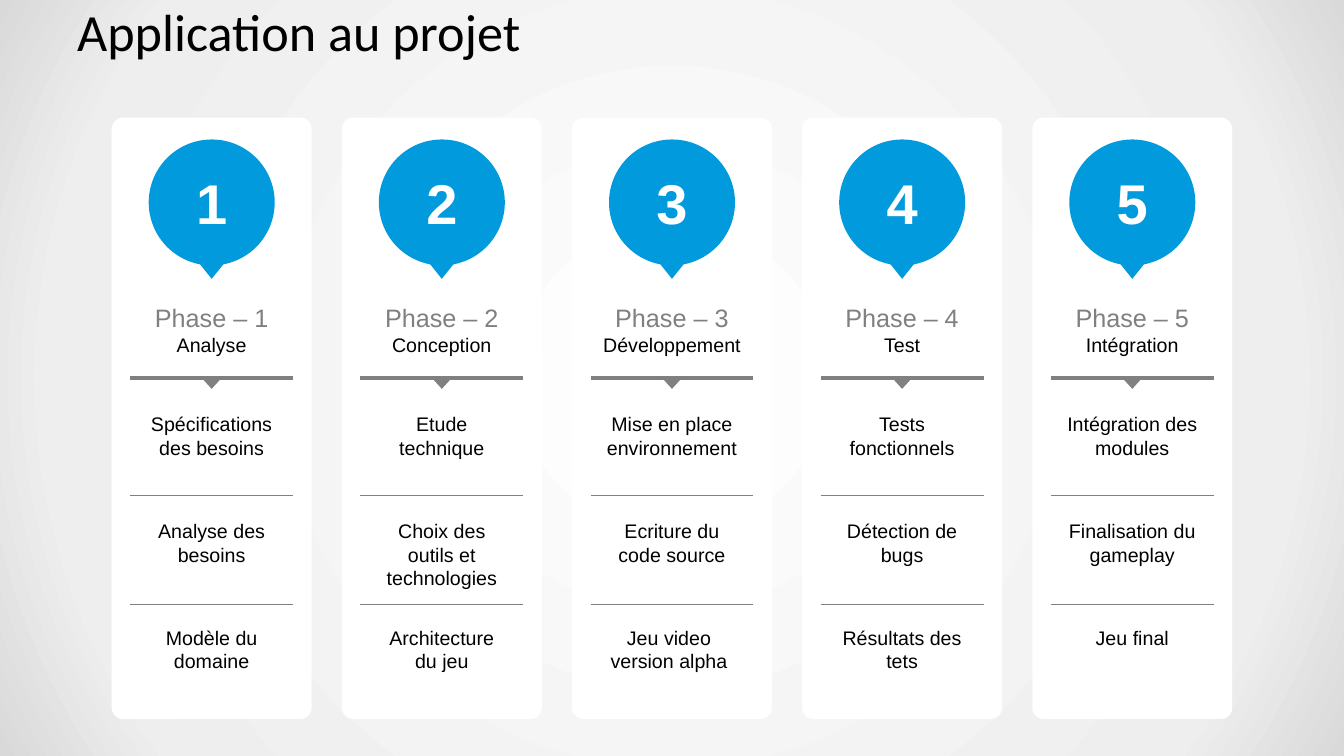
from lxml import etree
from pptx import Presentation
from pptx.dml.color import RGBColor
from pptx.enum.shapes import MSO_CONNECTOR, MSO_SHAPE
from pptx.enum.text import MSO_ANCHOR, MSO_AUTO_SIZE, PP_ALIGN
from pptx.oxml import parse_xml
from pptx.oxml.ns import nsdecls, qn
from pptx.util import Pt

PX = 7620  # EMU in one px, 120 px to the inch
WIDTH, HEIGHT = 1600, 900
COLORS = {
    "white": "FFFFFF", "pale": "EEEEEE", "edge": "D9D9D9",
    "blue": "019ADD", "gray": "808080", "black": "000000",
}
FORMATS = {
    "title": {"name": "Calibri", "size": Pt(37.3), "color": "black"},
    "number": {"name": "Arial", "size": Pt(40), "bold": True, "color": "white"},
    "phase": {"name": "Arial", "size": Pt(18), "color": "gray"},
    "body": {"name": "Arial", "size": Pt(14), "color": "black"},
}

PHASES = [
    ("Analyse", ["Spécifications\ndes besoins", "Analyse des besoins", "Modèle du domaine"]),
    ("Conception", ["Etude technique", "Choix des outils et technologies",
                    "Architecture du jeu"]),
    ("Développement", ["Mise en place environnement", "Ecriture du code source",
                       "Jeu video version alpha"]),
    ("Test", ["Tests fonctionnels", "Détection de bugs", "Résultats des tets"]),
    ("Intégration", ["Intégration des modules", "Finalisation du gameplay", "Jeu final"]),
]
COLUMN_STEP = 274
TEXT_WIDTH, TWO_LINES = 180, 68
# Boxes that differ from the usual: shift of the centre, width, height
SPECIAL_BOXES = {
    "Développement": (0, 194, 77),
    "Choix des outils et technologies": (0, TEXT_WIDTH, 97),
    "Jeu video version alpha": (-4, 187, TWO_LINES),
    "Jeu final": (0, TEXT_WIDTH, 41),
}


class SlideBuilder:
    """Draws on one page; every shape is placed by its horizontal centre."""

    def __init__(self, page):
        self.page = page
        self.canvas = page.shapes

    def start_group(self):
        self.canvas = self.page.shapes.add_group_shape().shapes

    def background(self, stops):
        """Fill the page with a gradient that spreads in circles from its centre."""
        self.page.background.fill.solid()
        properties = next(self.page.element.iter(qn("p:bgPr")))
        marks = "".join(
            f'<a:gs pos="{percent * 1000}"><a:srgbClr val="{COLORS[color]}"/></a:gs>'
            for percent, color in stops)
        properties.replace(properties[0], parse_xml(
            f'<a:gradFill {nsdecls("a")} rotWithShape="1"><a:gsLst>{marks}</a:gsLst>'
            '<a:path path="circle"><a:fillToRect l="50000" t="50000" r="50000" b="50000"/>'
            '</a:path></a:gradFill>'))

    def shape(self, kind, center, top, width, height, color, flipped=False):
        box = self.canvas.add_shape(
            kind, (center - width // 2) * PX, top * PX, width * PX, height * PX)
        box.shadow.inherit = False
        box.fill.solid()
        box.fill.fore_color.rgb = RGBColor.from_string(COLORS[color])
        box.line.fill.background()
        if flipped:
            box.element.spPr.xfrm.set("flipV", "1")
        return box

    def fill_text(self, box, lines, anchor, align, margins=(12, 6)):
        """Put (text, format name) pairs into a box, one paragraph each."""
        frame = box.text_frame
        side, end = (margin * PX for margin in margins)
        settings = {
            "word_wrap": True, "vertical_anchor": anchor, "margin_left": side,
            "margin_right": side, "margin_top": end, "margin_bottom": end,
        }
        for key, value in settings.items():
            setattr(frame, key, value)
        for index, (text, style) in enumerate(lines):
            para = frame.add_paragraph() if index else frame.paragraphs[0]
            para.alignment = align
            span = para.add_run()
            span.text = text
            for key, value in FORMATS[style].items():
                if key == "color":
                    span.font.color.rgb = RGBColor.from_string(COLORS[value])
                else:
                    setattr(span.font, key, value)

    def text(self, center, top, width, height, lines,
             anchor=MSO_ANCHOR.TOP, align=PP_ALIGN.CENTER, grow=True):
        box = self.canvas.add_textbox(
            (center - width // 2) * PX, top * PX, width * PX, height * PX)
        self.fill_text(box, lines, anchor, align)
        if grow:
            box.text_frame.auto_size = MSO_AUTO_SIZE.SHAPE_TO_FIT_TEXT

    def rule(self, center, top, width, weight):
        left = center - width // 2
        line = self.canvas.add_connector(
            MSO_CONNECTOR.STRAIGHT, left * PX, top * PX, (left + width) * PX, top * PX)
        line.line.color.rgb = RGBColor.from_string(COLORS["gray"])
        line.line.width = Pt(weight)
        etree.SubElement(line.element.spPr, qn("a:effectLst"))

    def phase(self, number, center, name, tasks):
        self.start_group()
        card = self.shape(MSO_SHAPE.ROUNDED_RECTANGLE, center, 140, 238, 716, "white")
        card.adjustments[0] = 0.057
        circle = self.shape(MSO_SHAPE.OVAL, center, 166, 150, 150, "blue")
        self.fill_text(circle, [(str(number), "number")], MSO_ANCHOR.MIDDLE,
                       PP_ALIGN.CENTER, (24, 24))
        self.shape(MSO_SHAPE.ISOSCELES_TRIANGLE, center, 307, 40, 25, "blue", True)

        shift, width, height = SPECIAL_BOXES.get(name, (0, TEXT_WIDTH, 77))
        self.text(center + shift, 354, width, height,
                  [(f"Phase – {number}", "phase"), (name, "body")])
        for row, task in enumerate(tasks):
            shift, width, height = SPECIAL_BOXES.get(task, (0, TEXT_WIDTH, TWO_LINES))
            self.text(center + shift, 485 + 127 * row, width, height,
                      [(line, "body") for line in task.split("\n")])

        for top, weight in ((720, 0.75), (590, 0.75), (450, 3)):
            self.rule(center, top, 194, weight)
        self.shape(MSO_SHAPE.ISOSCELES_TRIANGLE, center, 452, 20, 11, "gray", True)


def main():
    deck = Presentation()
    deck.slide_width, deck.slide_height = WIDTH * PX, HEIGHT * PX
    builder = SlideBuilder(deck.slides.add_slide(deck.slide_layouts[6]))
    builder.background([(0, "white"), (81, "pale"), (100, "edge")])
    builder.text(WIDTH // 2, -10, 1440, 94, [("Application au projet", "title")],
                 MSO_ANCHOR.MIDDLE, PP_ALIGN.LEFT, grow=False)
    first_center = WIDTH // 2 - COLUMN_STEP * (len(PHASES) - 1) // 2
    for index, (name, tasks) in enumerate(PHASES):
        builder.phase(index + 1, first_center + COLUMN_STEP * index, name, tasks)
    deck.save("out.pptx")


if __name__ == "__main__":
    main()
